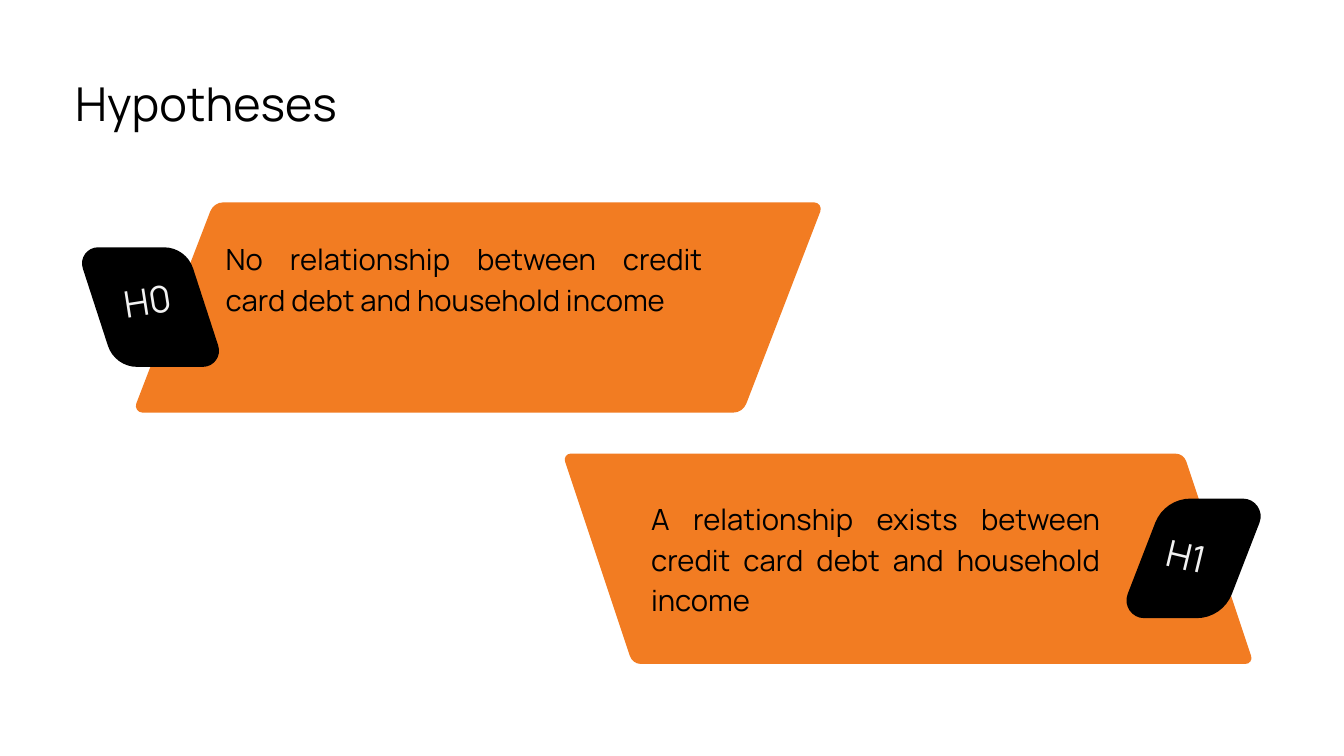
from math import atan2, dist, pi, tan

from lxml.etree import SubElement
from pptx import Presentation
from pptx.dml.color import RGBColor
from pptx.enum.text import MSO_ANCHOR, MSO_AUTO_SIZE, PP_ALIGN
from pptx.oxml.ns import qn
from pptx.util import Cm, Pt

FONT = "Manrope"
ORANGE, BLACK, PALE = "F27C22", "000000", "F2F2F2"


def tint(code):
    return RGBColor.from_string(code)


def toward(start, end, length):
    share = length / dist(start, end)
    return tuple(a + (b - a) * share for a, b in zip(start, end))


def bend(shape, grips):
    lines = list(shape._element.iter(qn("a:lnTo")))[::2]
    for line, pair in zip(lines, grips):
        line.tag = qn("a:cubicBezTo")
        end = line[0]
        for x, y in pair:
            dot = SubElement(line, qn("a:pt"))
            dot.set("x", str(Cm(x) - shape.left))
            dot.set("y", str(Cm(y) - shape.top))
        line.append(end)


def add_slant(slide, left, top, width, height, lean, cut, fill):
    low = top + height
    peaks = [(left, top), (left + width, top),
             (left + width + lean, low), (left + lean, low)]
    angle = atan2(height, -lean)
    points, grips = [], []
    for i, peak in enumerate(peaks):
        turn = pi - angle if i % 2 else angle
        reach = cut * 4 / 3 * tan(turn / 4) / tan(turn / 2)
        start = toward(peak, peaks[i - 1], cut)
        end = toward(peak, peaks[(i + 1) % 4], cut)
        points += [(Cm(x), Cm(y)) for x, y in (start, end)]
        grips.append((toward(start, peak, reach), toward(end, peak, reach)))
    pen = slide.shapes.build_freeform(*points[0])
    pen.add_line_segments(points[1:], close=True)
    shape = pen.convert_to_shape()
    bend(shape, grips)
    shape.shadow.inherit = False
    shape.fill.solid()
    shape.fill.fore_color.rgb = tint(fill)
    shape.line.fill.background()


def set_text(slide, shape, text, box, size, pitch, ink=BLACK, align=PP_ALIGN.LEFT):
    slide.shapes._spTree.append(shape._element)
    shape.left, shape.top, shape.width, shape.height = map(Cm, box)
    frame = shape.text_frame
    frame.text = text
    frame.word_wrap = True
    frame.auto_size = MSO_AUTO_SIZE.NONE
    frame.vertical_anchor = MSO_ANCHOR.TOP
    frame.margin_left = frame.margin_right = 0
    frame.margin_top = frame.margin_bottom = 0
    line = frame.paragraphs[0]
    line.alignment = align
    line.line_spacing = Pt(pitch)
    line.space_before = Pt(0)
    font = line.runs[0].font
    font.name, font.size = FONT, Pt(size)
    font.color.rgb = tint(ink)


def add_claim(slide, index, text, box):
    shape = slide.placeholders[index]
    set_text(slide, shape, text, box, 31.3, 43.8, align=PP_ALIGN.JUSTIFY)
    props = shape.text_frame.paragraphs[0]._p.get_or_add_pPr()
    props.set("marL", "0")
    props.set("indent", "0")
    SubElement(props, qn("a:buNone"))


def add_label(slide, text, left, top, turn):
    box = (left, top, 2.06, 1.98)
    shape = slide.shapes.add_textbox(*map(Cm, box))
    set_text(slide, shape, text, box, 39.3, 55, PALE)
    shape.rotation = turn


def main():
    deck = Presentation()
    deck.slide_width, deck.slide_height = Cm(50.8), Cm(28.58)
    slide = deck.slides.add_slide(deck.slide_layouts[3])

    add_slant(slide, 8.08, 7.65, 23.06, 7.95, -3.06, 0.37, ORANGE)
    add_slant(slide, 21.26, 17.15, 23.48, 7.95, 2.65, 0.31, ORANGE)
    add_slant(slide, 44.02, 18.85, 3.94, 4.52, -1.75, 0.98, BLACK)
    add_slant(slide, 2.87, 9.35, 4.17, 4.52, 1.47, 0.84, BLACK)

    set_text(slide, slide.shapes.title, "Hypotheses",
             (2.84, 2.46, 29.11, 2.51), 50, 70)
    add_label(slide, "H0", 4.65, 10.21, 351.1)
    add_claim(slide, 2,
              "A relationship exists between credit card debt and household income",
              (24.61, 18.72, 16.99, 4.65))
    add_label(slide, "H1", 44.12, 19.96, 13.6)
    add_claim(slide, 1,
              "No relationship between credit card debt and household income",
              (8.53, 8.89, 18.03, 4.65))

    deck.save("out.pptx")


if __name__ == "__main__":
    main()
